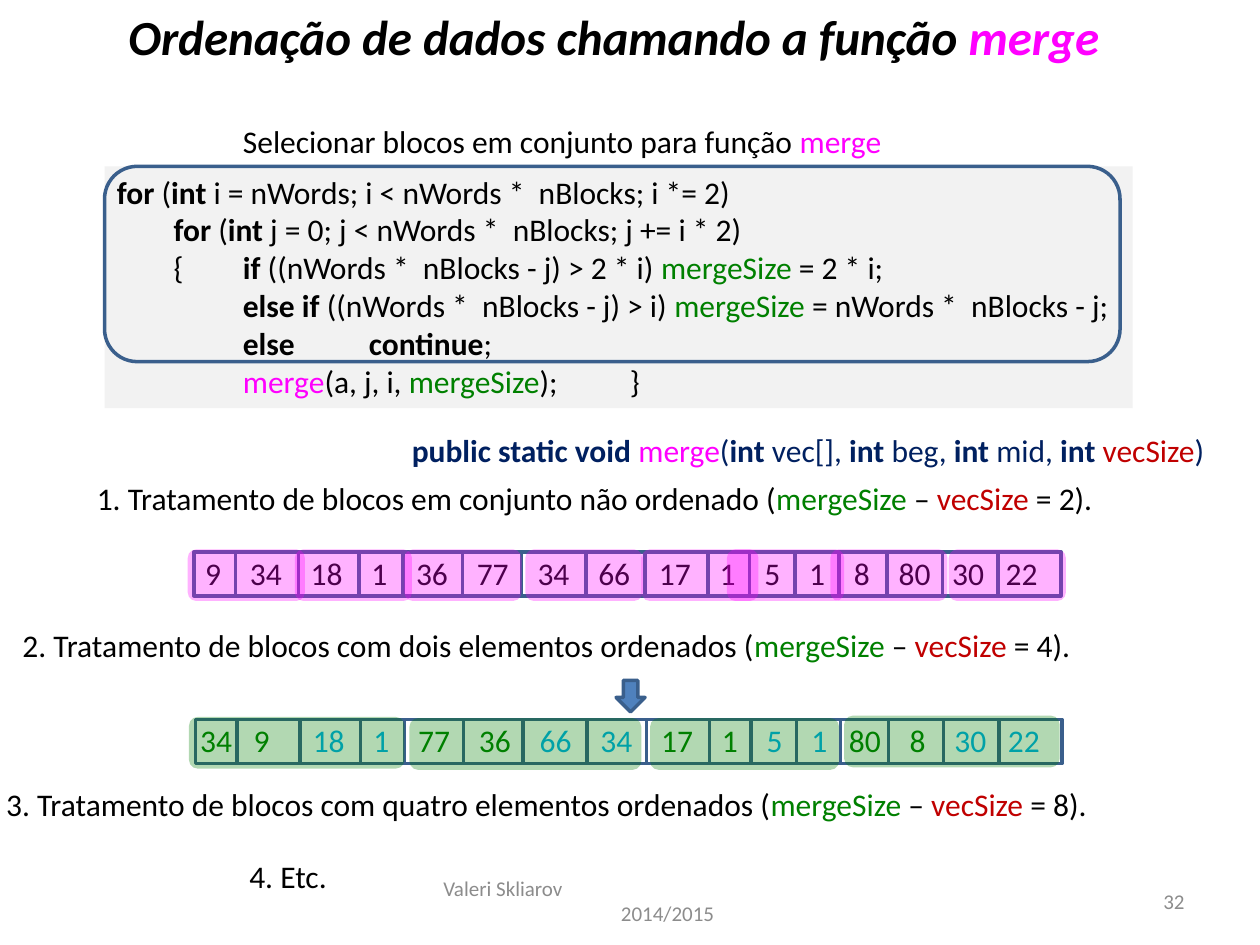
import dataclasses

import pptx
import pptx.dml.color
import pptx.enum.shapes
import pptx.enum.text
import pptx.oxml.ns
import pptx.oxml.xmlchemy
import pptx.util

SHAPES = pptx.enum.shapes.MSO_SHAPE
ALIGN = pptx.enum.text.PP_ALIGN
ANCHOR = pptx.enum.text.MSO_ANCHOR


@dataclasses.dataclass(frozen=True)
class Theme:
    font: str = "Calibri"
    title: int = 28
    body: int = 18
    footer: int = 12
    outline: int = 2
    black: str = "000000"
    grey: str = "8C8C8C"
    panel: str = "F2F2F2"
    magenta: str = "FF00FF"
    green: str = "008000"
    red: str = "C00000"
    navy: str = "002060"
    cyan: str = "00B0F0"
    blue: str = "4F81BD"
    border: str = "3A5F8C"


THEME = Theme()
CELL = pptx.util.Inches(0.1)
DIGIT, SPACE = 1.27, 0.57
DIVIDERS = [3.3, 8.3, 13.1, 16.6, 21.3, 26, 31.1, 35.8, 40.8, 44.1, 47.7, 51.2, 55, 59.4, 63.8]


def colour(code):
    return pptx.dml.color.RGBColor.from_string(code)


def cells(amount):
    return round(amount * CELL)


class SlideBuilder:
    def __init__(self, presentation, theme):
        self.theme = theme
        self.slide = presentation.slides.add_slide(presentation.slide_layouts[6])

    def add_runs(self, paragraph, runs, size, italic):
        for text, code, bold in runs:
            run = paragraph.add_run()
            run.text = text
            font = run.font
            font.name, font.size = self.theme.font, pptx.util.Pt(size)
            font.bold, font.italic = bold, italic
            font.color.rgb = colour(code)

    def tab_stops(self, paragraph, stops):
        properties = paragraph._p.get_or_add_pPr()
        tab_list = pptx.oxml.xmlchemy.OxmlElement("a:tabLst")
        for stop in stops:
            tab = pptx.oxml.xmlchemy.OxmlElement("a:tab")
            tab.set("pos", str(cells(stop)))
            tab.set("algn", "l")
            tab_list.append(tab)
        properties.append(tab_list)

    def text(self, box, paragraphs, size=None, italic=False, stops=(), align=ALIGN.LEFT, anchor=ANCHOR.TOP):
        frame = self.slide.shapes.add_textbox(*map(cells, box)).text_frame
        frame.word_wrap = bool(stops)
        frame.vertical_anchor = anchor
        for index, runs in enumerate(paragraphs):
            paragraph = frame.add_paragraph() if index else frame.paragraphs[0]
            paragraph.alignment = align
            if stops:
                self.tab_stops(paragraph, stops)
            self.add_runs(paragraph, runs, size or self.theme.body, italic)

    def shape(self, kind, box, fill=None, border=None, opacity=100):
        shape = self.slide.shapes.add_shape(kind, *map(cells, box))
        shape.shadow.inherit = False
        if fill:
            shape.fill.solid()
            shape.fill.fore_color.rgb = colour(fill)
        else:
            shape.fill.background()
        if opacity < 100:
            alpha = pptx.oxml.xmlchemy.OxmlElement("a:alpha")
            alpha.set("val", str(opacity * 1000))
            shape._element.spPr.find(".//" + pptx.oxml.ns.qn("a:srgbClr")).append(alpha)
        if border:
            shape.line.color.rgb = colour(border)
            shape.line.width = pptx.util.Pt(self.theme.outline)
        else:
            shape.line.fill.background()

    def divider(self, column, top, bottom):
        line = self.slide.shapes.add_connector(
            pptx.enum.shapes.MSO_CONNECTOR.STRAIGHT, *map(cells, (column, top, column, bottom)))
        line.line.color.rgb = colour(self.theme.border)
        line.line.width = pptx.util.Pt(self.theme.outline)
        line._element.spPr.append(pptx.oxml.xmlchemy.OxmlElement("a:effectLst"))

    def array(self, left, top, text_left, values, gaps, pair_colours):
        self.shape(SHAPES.RECTANGLE, (left, top, 68.8, 3.5), border=self.theme.border)
        stops, position = [], 0
        for value, gap in zip(values, gaps):
            position += len(value) * DIGIT + gap * SPACE
            stops.append(position)
        runs = []
        for index in range(0, len(values), 2):
            lead = "\t" if index else ""
            code = pair_colours[index // 2 % len(pair_colours)]
            runs.append((lead + "\t".join(values[index:index + 2]), code, False))
        self.text((text_left, top - 0.35, 70, 4), [runs], stops=stops)
        for offset in DIVIDERS:
            self.divider(left + offset, top - 0.05, top + 3.6)

    def blocks(self, boxes, fill):
        for left, top, width in boxes:
            self.shape(SHAPES.ROUNDED_RECTANGLE, (left, top, width, 4.1), fill, opacity=30)

    def step(self, left, top, width, label, size):
        self.text((left, top, width, 4), [[
            plain(label + " ("), green("mergeSize"), plain(" – "),
            ("vecSize", self.theme.red, False), plain(f" = {size}).")]])


def plain(text):
    return text, THEME.black, False


def bold(text):
    return text, THEME.black, True


def green(text):
    return text, THEME.green, False


def magenta(text):
    return text, THEME.magenta, False


def navy(text, strong=False):
    return text, THEME.navy, strong


CODE = [
    [bold("for"), plain(" ("), bold("int "), plain("i = nWords; i < nWords *  nBlocks; i *= 2)")],
    [bold("\tfor"), plain(" ("), bold("int"), plain(" j = 0; j < nWords *  nBlocks; j += i * 2)")],
    [plain("\t{\t"), bold("if"), plain(" ((nWords *  nBlocks - j) > 2 * i) "),
     green("mergeSize"), plain(" = 2 * i;")],
    [bold("\t\telse if"), plain(" ((nWords *  nBlocks - j) > i) "),
     green("mergeSize"), plain(" = nWords *  nBlocks - j;")],
    [bold("\t\telse\tcontinue"), plain(";")],
    [magenta("\t\tmerge"), plain("(a, j, i, "), green("mergeSize"), plain(");\t}")],
]
SIGNATURE = [
    navy("public static void ", True), magenta("merge"), navy("("), navy("int ", True), navy("vec[], "),
    navy("int", True), navy(" beg, "), navy("int", True), navy(" mid, "), navy("int ", True),
    ("vecSize", THEME.red, False), navy(")"),
]
UNSORTED = "9 34 18 1 36 77 34 66 17 1 5 1 8 80 30 22".split()
PAIRED = "34 9 18 1 77 36 66 34 17 1 5 1 80 8 30 22".split()


def main():
    presentation = pptx.Presentation()
    presentation.slide_width, presentation.slide_height = cells(100), cells(75)
    page = SlideBuilder(presentation, THEME)

    page.text((34.2, 69.5, 31.7, 4),
              [[("Valeri Skliarov", THEME.grey, False)], [("\t2014/2015", THEME.grey, False)]],
              THEME.footer, stops=[14.1], anchor=ANCHOR.MIDDLE)
    page.text((71.7, 69.5, 23.3, 4), [[("32", THEME.grey, False)]],
              THEME.footer, align=ALIGN.RIGHT, anchor=ANCHOR.MIDDLE)

    page.shape(SHAPES.RECTANGLE, (8.3, 13.2, 81.6, 19.2), THEME.panel)
    page.text((8.3, 13.2, 81.6, 19.2), CODE, stops=[4.5, 10, 20, 40.7])
    page.text((9.2, 0, 79.9, 5.7),
              [[bold("Ordenação de dados chamando a função "), ("merge", THEME.magenta, True)]],
              THEME.title, italic=True)
    page.shape(SHAPES.ROUNDED_RECTANGLE, (8.3, 13.2, 80.6, 15.5), border=THEME.border)
    page.text((18.3, 9.2, 54.4, 4),
              [[plain("Selecionar blocos em conjunto para função "), magenta("merge")]])
    page.text((31.7, 33.7, 65.6, 4), [SIGNATURE])

    page.step(6.7, 37.5, 82, "1. Tratamento de blocos em conjunto não ordenado", 2)
    page.array(15.4, 43.8, 15.3, UNSORTED, [4] * 13 + [3, 3], [THEME.black])
    page.blocks([(left, 43.6, 9.3) for left in (14.9, 23.4, 32.1, 41.7, 50.9, 57.7, 65.9, 75.3)],
                THEME.magenta)

    page.step(0.8, 49.2, 86.2, "2. Tratamento de blocos com dois elementos ordenados", 4)
    page.array(15.5, 57.1, 14.9, PAIRED, [3, 6] + [4] * 9 + [3, 4, 4, 3], [THEME.green, THEME.cyan])
    page.shape(SHAPES.DOWN_ARROW, (48.9, 54, 2.3, 2.5), THEME.blue, THEME.border)
    page.blocks([(15, 56.9, 17.1), (32.5, 57, 18.4), (51.6, 57, 15), (67, 56.8, 17.1)], THEME.green)

    page.step(-0.5, 61.8, 88.8, "3. Tratamento de blocos com quatro elementos ordenados", 8)
    page.text((18.8, 67.5, 8.2, 4), [[plain("4. Etc.")]])
    presentation.save("out.pptx")


if __name__ == "__main__":
    main()
